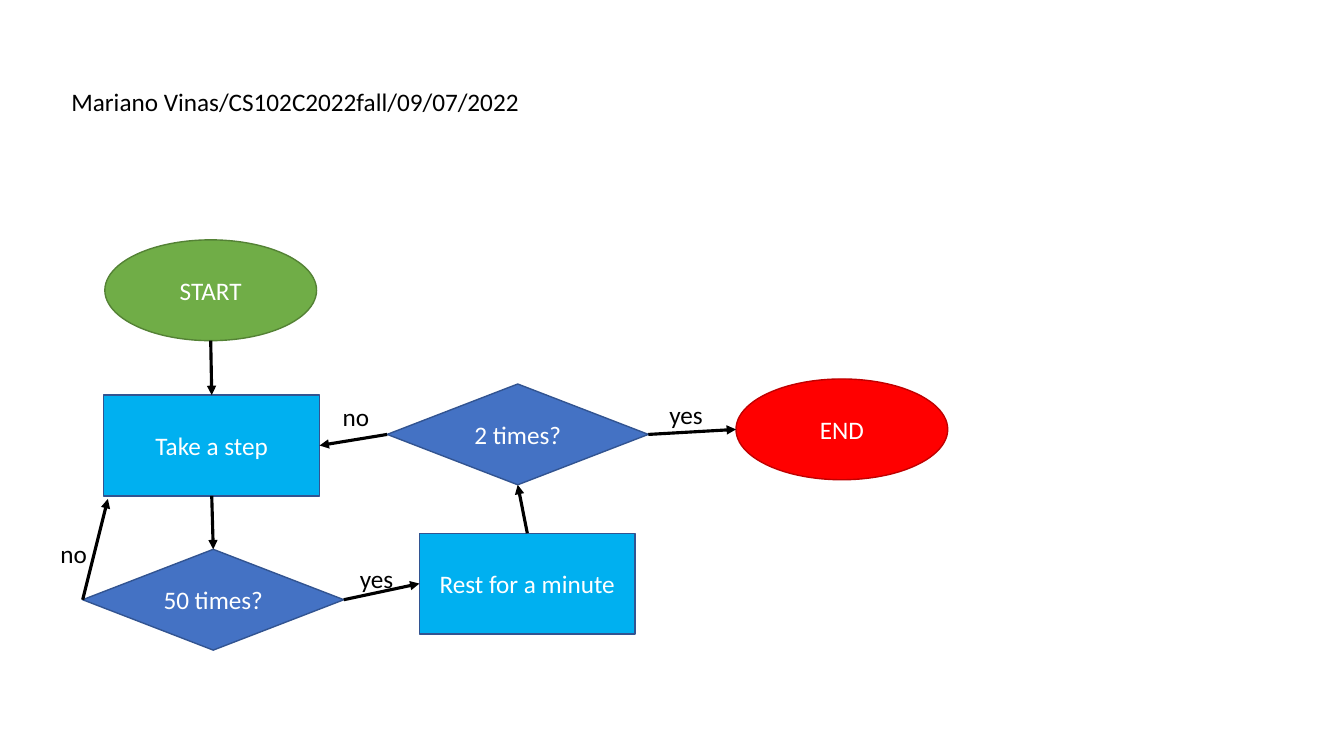
from lxml import etree
from pptx import Presentation
from pptx.dml.color import RGBColor
from pptx.enum.shapes import MSO_CONNECTOR, MSO_SHAPE
from pptx.enum.text import MSO_ANCHOR, PP_ALIGN
from pptx.oxml.ns import qn
from pptx.util import Inches, Pt

WHITE = RGBColor(0xFF, 0xFF, 0xFF)
BLACK = RGBColor(0x00, 0x00, 0x00)
GREEN = RGBColor(0x70, 0xAD, 0x47)
DARK_GREEN = RGBColor(0x54, 0x82, 0x35)
SKY = RGBColor(0x00, 0xB0, 0xF0)
BLUE = RGBColor(0x44, 0x72, 0xC4)
DARK_BLUE = RGBColor(0x32, 0x54, 0x91)
RED = RGBColor(0xFF, 0x00, 0x00)
DARK_RED = RGBColor(0xC0, 0x00, 0x00)

FONT = "Calibri"
TOP, LEFT, BOTTOM, RIGHT = range(4)

# Node styles: preset shape, width, fill, outline
NODE_HEIGHT = 1
START = (MSO_SHAPE.OVAL, 2.1, GREEN, DARK_GREEN)
END = (MSO_SHAPE.OVAL, 2.1, RED, DARK_RED)
ACTION = (MSO_SHAPE.RECTANGLE, 2.14, SKY, DARK_BLUE)
DECISION = (MSO_SHAPE.DIAMOND, 2.59, BLUE, DARK_BLUE)


def write(tf, text, color):
    tf.word_wrap = True
    tf.text = text
    font = tf.paragraphs[0].runs[0].font
    font.name, font.size, font.color.rgb = FONT, Pt(18), color


def add_label(slide, text, x, y, width=0.65):
    tb = slide.shapes.add_textbox(Inches(x), Inches(y), Inches(width), Inches(0.4))
    write(tb.text_frame, text, BLACK)


def add_node(slide, style, text, x, y):
    kind, width, fill, outline = style
    s = slide.shapes.add_shape(kind, Inches(x), Inches(y),
                               Inches(width), Inches(NODE_HEIGHT))
    s.shadow.inherit = False
    s.fill.solid()
    s.fill.fore_color.rgb = fill
    s.line.color.rgb = outline
    s.line.width = Pt(1)
    write(s.text_frame, text, WHITE)
    s.text_frame.vertical_anchor = MSO_ANCHOR.MIDDLE
    s.text_frame.paragraphs[0].alignment = PP_ALIGN.CENTER
    return s


def side_point(s, side):
    mid_x, mid_y = s.left + s.width // 2, s.top + s.height // 2
    return {TOP: (mid_x, s.top), LEFT: (s.left, mid_y),
            BOTTOM: (mid_x, s.top + s.height),
            RIGHT: (s.left + s.width, mid_y)}[side]


def add_arrow(slide, begin, end):
    c = slide.shapes.add_connector(MSO_CONNECTOR.STRAIGHT, *begin, *end)
    c.line.color.rgb = BLACK
    c.line.width = Pt(2.25)
    etree.SubElement(c.line._get_or_add_ln(), qn("a:tailEnd"), type="triangle")
    etree.SubElement(c._element.spPr, qn("a:effectLst"))
    return c


def join(slide, source, source_side, target, target_side):
    c = add_arrow(slide, side_point(source, source_side),
                  side_point(target, target_side))
    # Ovals number their connection sites differently, so they stay unglued
    if source.auto_shape_type != MSO_SHAPE.OVAL:
        c.begin_connect(source, source_side)
    if target.auto_shape_type != MSO_SHAPE.OVAL:
        c.end_connect(target, target_side)


def add_header(slide, x, y, width):
    add_label(slide, "Mariano Vinas/CS102C2022fall/09/07/2022", x, y, width)


def add_flowchart(slide, x, y):
    # Nodes
    start = add_node(slide, START, "START", x + 0.54, y)
    step = add_node(slide, ACTION, "Take a step", x + 0.53, y + 1.54)
    fifty = add_node(slide, DECISION, "50 times?", x + 0.32, y + 3.07)
    rest = add_node(slide, ACTION, "Rest for a minute", x + 3.66, y + 2.91)
    twice = add_node(slide, DECISION, "2 times?", x + 3.34, y + 1.43)
    end = add_node(slide, END, "END", x + 6.8, y + 1.38)

    # Arrows from side to side
    for route in ((start, BOTTOM, step, TOP), (step, BOTTOM, fifty, TOP),
                  (fifty, RIGHT, rest, LEFT), (rest, TOP, twice, BOTTOM),
                  (twice, LEFT, step, RIGHT), (twice, RIGHT, end, LEFT)):
        join(slide, *route)

    # Loop back to the lower left corner of the step
    loop = add_arrow(slide, side_point(fifty, LEFT),
                     (Inches(x + 0.57), Inches(y + 2.57)))
    loop.begin_connect(fifty, LEFT)

    # Branch labels
    for text, dx, dy in (("no", 0, 2.91), ("yes", 2.97, 3.16),
                         ("no", 2.8, 1.55), ("yes", 6.04, 1.53)):
        add_label(slide, text, x + dx, y + dy)


def main():
    prs = Presentation()
    prs.slide_width, prs.slide_height = Inches(13.33), Inches(7.5)
    slide = prs.slides.add_slide(prs.slide_layouts[6])
    add_header(slide, 0.61, 0.81, 5)
    add_flowchart(slide, 0.5, 2.38)
    prs.save("out.pptx")


if __name__ == "__main__":
    main()
